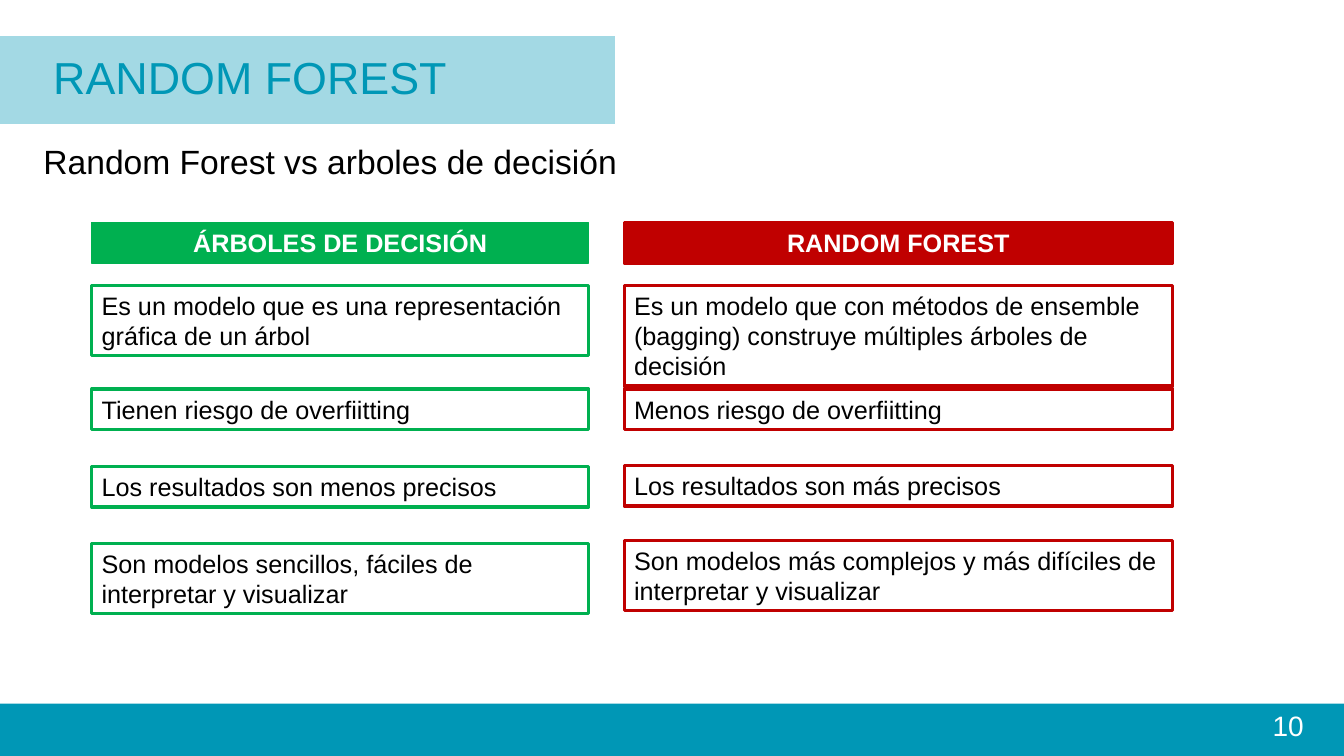
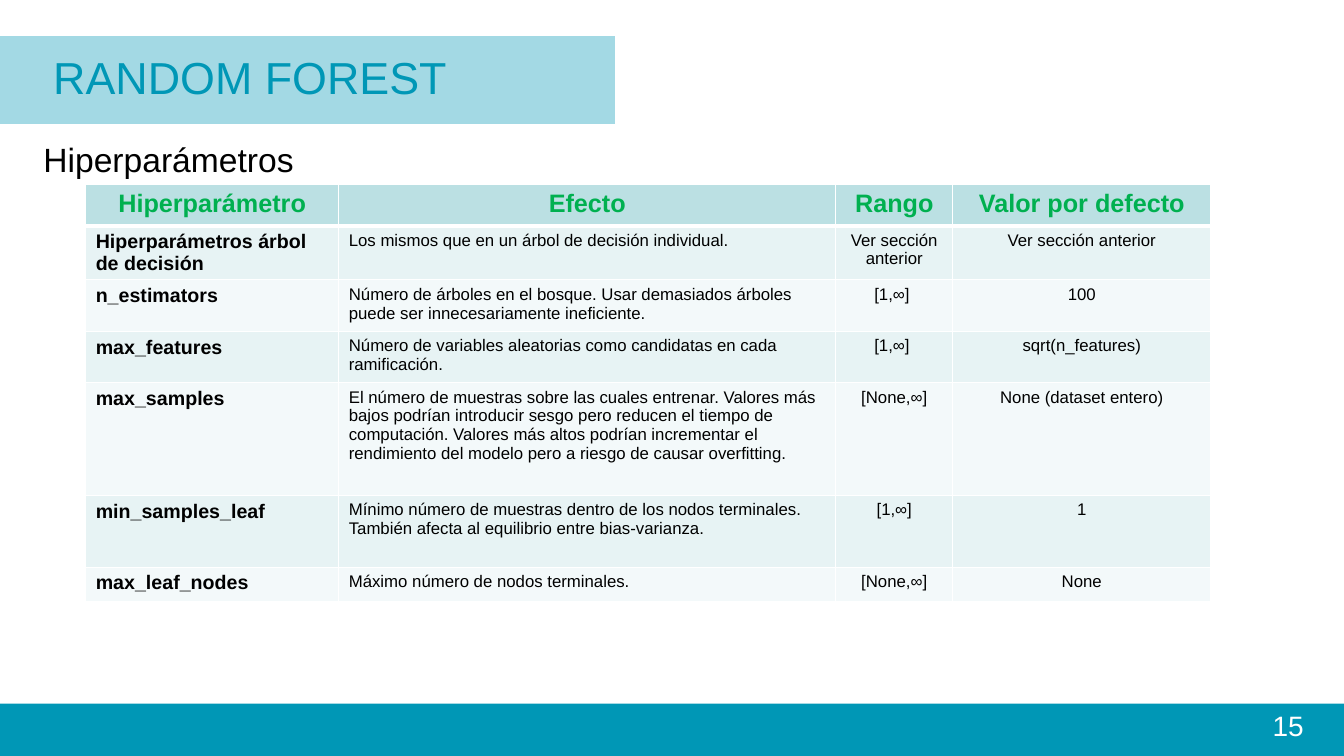
from lxml import etree
from pptx import Presentation
from pptx.dml.color import RGBColor
from pptx.enum.shapes import MSO_SHAPE as SHAPE
from pptx.enum.text import MSO_ANCHOR as ANCHOR, MSO_AUTO_SIZE as AUTO, PP_ALIGN as ALIGN
from pptx.oxml.ns import qn
from pptx.util import Inches, Pt

# Content
SECTION = "RANDOM FOREST"
VERSUS = {
    "title": "Random Forest vs arboles de decisión", "number": "10", "title_top": 1.54,
    # heading, colour, left, width, heading line width, tops, texts
    "columns": [
        ("ÁRBOLES DE DECISIÓN", "green", 0.91, 4.93, 0.75, [2.83, 3.86, 4.63, 5.39],
         ["Es un modelo que es una representación gráfica de un árbol",
          "Tienen riesgo de overfiitting",
          "Los resultados son menos precisos",
          "Son modelos sencillos, fáciles de interpretar y visualizar"]),
        ("RANDOM FOREST", "red", 6.19, 5.44, 2.25, [2.83, 3.86, 4.62, 5.36],
         ["Es un modelo que con métodos de ensemble (bagging) construye múltiples "
          "árboles de decisión",
          "Menos riesgo de overfiitting",
          "Los resultados son más precisos",
          "Son modelos más complejos y más difíciles de interpretar y visualizar"]),
    ],
    "lines": [(2, 1, 1, 2), (3, 1, 1, 2)],
}
PARAMS = {
    "title": "Hiperparámetros", "number": "15", "title_top": 1.52,
    "widths": [2.51, 4.93, 1.16, 2.56],
    "heights": [0.41, 0.51, 0.51, 0.51, 1.12, 0.71, 0.34],
    "rows": [
        ("Hiperparámetro", "Efecto", "Rango", "Valor por defecto"),
        ("Hiperparámetros árbol de decisión",
         "Los mismos que en un árbol de decisión individual.",
         "Ver sección anterior", "Ver sección anterior"),
        ("n_estimators",
         "Número de árboles en el bosque. Usar demasiados árboles puede ser "
         "innecesariamente ineficiente.", "[1,∞] ", "100"),
        ("max_features",
         "Número de variables aleatorias como candidatas en cada ramificación.",
         "[1,∞] ", "sqrt(n_features)"),
        ("max_samples",
         "El número de muestras sobre las cuales entrenar. Valores más bajos podrían "
         "introducir sesgo pero reducen el tiempo de computación. Valores más altos "
         "podrían incrementar el rendimiento del modelo pero a riesgo de causar "
         "overfitting.", "[None,∞]", "None (dataset entero)"),
        ("min_samples_leaf",
         "Mínimo número de muestras dentro de los nodos terminales. También afecta al "
         "equilibrio entre bias-varianza.", "[1,∞]", "1"),
        ("max_leaf_nodes", "Máximo número de nodos terminales. ", "[None,∞]", "None"),
    ],
}

# Shared style
FONT = "Arial"
COLORS = {"teal": "0097B6", "green": "00B050", "red": "C00000", "black": "000000",
          "white": "FFFFFF", "head": "BBE0E3", "odd": "E7F3F4", "even": "F3F9FA"}
LINE_H, PAD = 0.3, 0.1

prs = Presentation()
prs.slide_width, prs.slide_height = Inches(13.33), Inches(7.5)


def rgb(name):
    return RGBColor.from_string(COLORS[name])


def write(tf, text, size, color="black", bold=False, align=ALIGN.LEFT):
    p = tf.paragraphs[0]
    p.alignment = align
    r = p.add_run()
    r.text = text
    r.font.name, r.font.size, r.font.bold = FONT, Pt(size), bold
    r.font.color.rgb = rgb(color)
    return p


def rect(s, at, fill=None, line=None, width=0.75, alpha=None):
    sp = s.shapes.add_shape(SHAPE.RECTANGLE, *map(Inches, at))
    sp.shadow.inherit = False
    if fill:
        sp.fill.solid()
        sp.fill.fore_color.rgb = rgb(fill)
    else:
        sp.fill.background()
    if line:
        sp.line.color.rgb = rgb(line)
        sp.line.width = Pt(width)
    else:
        sp.line.fill.background()
    if alpha:
        clr = sp.element.spPr.find(qn("a:solidFill"))[0]
        etree.SubElement(clr, qn("a:alpha"), val=str(alpha * 1000))
    return sp


def label(s, at, text, size, color, anchor=ANCHOR.TOP, align=ALIGN.LEFT):
    tf = s.shapes.add_textbox(*map(Inches, at)).text_frame
    tf.word_wrap = True
    tf.vertical_anchor = anchor
    write(tf, text, size, color, align=align)


def new_slide(content):
    s = prs.slides.add_slide(prs.slide_layouts[5])
    # Footer band, heading band, page number and section name
    rect(s, (-0.44, 6.98, 14.16, 0.52), "teal")
    rect(s, (-0.44, 0.36, 6.54, 0.87), "teal", alpha=36)
    label(s, (10.7, 6.98, 2.33, 0.52), content["number"], 20, "white", align=ALIGN.RIGHT)
    label(s, (0.43, 0.44, 6.24, 0.63), SECTION, 32, "teal", ANCHOR.MIDDLE)
    # Slide title
    title = s.shapes.title
    title.left, title.top = Inches(0.43), Inches(content["title_top"])
    title.width, title.height = Inches(12), Inches(0.16)
    tf = title.text_frame
    tf.auto_size, tf.vertical_anchor = AUTO.NONE, ANCHOR.MIDDLE
    tf.margin_left = tf.margin_right = tf.margin_top = tf.margin_bottom = 0
    write(tf, content["title"], 24).line_spacing = 0.9
    return s


def text_box(s, at, text, color, filled=False, width=2.25):
    sp = rect(s, at, color if filled else None, color, width)
    tf = sp.text_frame
    tf.word_wrap, tf.auto_size = True, AUTO.SHAPE_TO_FIT_TEXT
    tf.vertical_anchor = ANCHOR.TOP
    if filled:
        write(tf, text, 18, "white", True, ALIGN.CENTER)
    else:
        write(tf, text, 18)


def borders(cell, top, bottom):
    tcPr = cell._tc.get_or_add_tcPr()
    for tag, width in (("lnL", 1), ("lnR", 1), ("lnT", top), ("lnB", bottom)):
        ln = etree.SubElement(tcPr, qn("a:" + tag), w=str(Pt(width)))
        fill = etree.SubElement(ln, qn("a:solidFill"))
        etree.SubElement(fill, qn("a:srgbClr"), val=COLORS["white"])


# Comparison: two columns of boxes
s = new_slide(VERSUS)
for column, lines in zip(VERSUS["columns"], VERSUS["lines"]):
    heading, color, left, width, line_width, tops, texts = column
    text_box(s, (left, 2.21, width, LINE_H + PAD), heading, color, True, line_width)
    for top, text, count in zip(tops, texts, lines):
        text_box(s, (left, top, width, count * LINE_H + PAD), text, color)

# Hyperparameter table
s = new_slide(PARAMS)
rows, widths, heights = PARAMS["rows"], PARAMS["widths"], PARAMS["heights"]
table = s.shapes.add_table(len(rows), len(widths), Inches(0.85), Inches(1.83),
                           Inches(sum(widths)), Inches(sum(heights))).table
for col, width in zip(table.columns, widths):
    col.width = Inches(width)
for i, (row, height) in enumerate(zip(rows, heights)):
    table.rows[i].height = Inches(height)
    for j, text in enumerate(row):
        cell = table.cell(i, j)
        cell.margin_bottom = Inches(0.02)
        borders(cell, 3 if i == 1 else 1, 3 if i == 0 else 1)
        cell.fill.solid()
        cell.fill.fore_color.rgb = rgb("head" if i == 0 else "odd" if i % 2 else "even")
        size = 18 if i == 0 else 14 if j == 0 else 12
        write(cell.text_frame, text, size, "black" if i else "green", i == 0 or j == 0,
              ALIGN.CENTER if i == 0 or j > 1 else ALIGN.LEFT)

prs.save("out.pptx")
